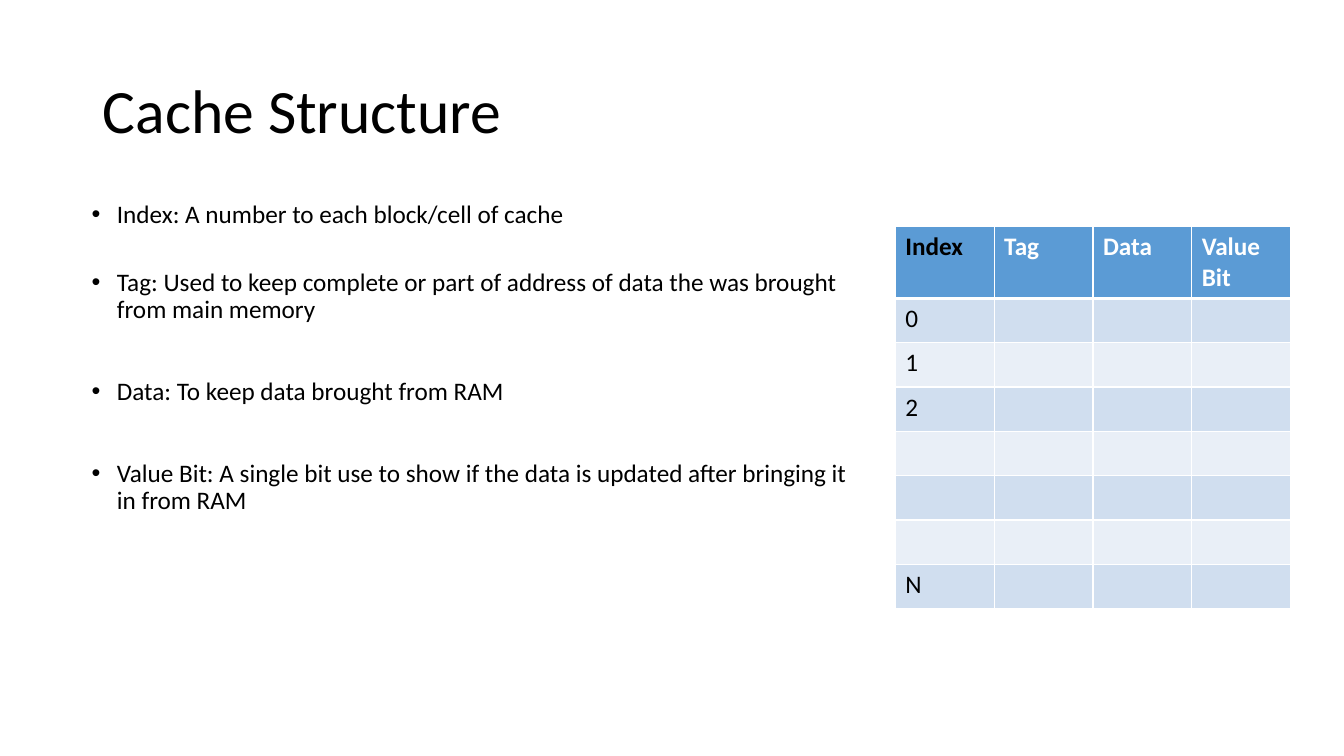
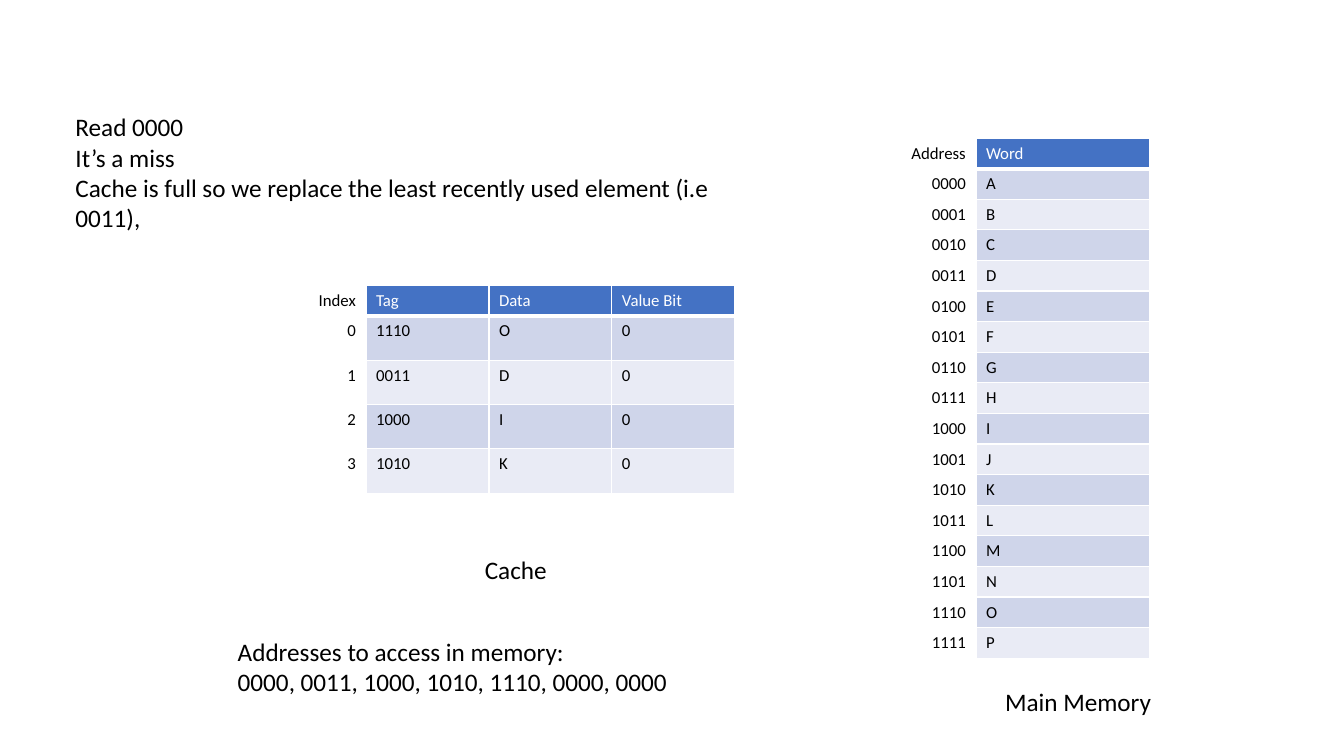
from pptx import Presentation
from pptx.dml.color import RGBColor
from pptx.enum.text import MSO_ANCHOR, MSO_AUTO_SIZE, PP_ALIGN
from pptx.oxml import parse_xml
from pptx.oxml.ns import nsdecls
from pptx.util import Inches, Pt

LEFT, RIGHT = PP_ALIGN.LEFT, PP_ALIGN.RIGHT
MIDDLE = MSO_ANCHOR.MIDDLE
GROW = MSO_AUTO_SIZE.SHAPE_TO_FIT_TEXT

HEX = {
    "text": "000000", "white": "FFFFFF",
    "sky": "5B9BD5", "sky mid": "D0DEEF", "sky pale": "E9EFF7",
    "blue": "4472C4", "blue mid": "CFD5EA", "blue pale": "E9EBF5",
}


def style(par, size, color="text", bold=False):
    look = {"name": "Calibri", "size": Pt(size), "bold": bold}
    for key, value in look.items():
        setattr(par.font, key, value)
    par.font.color.rgb = RGBColor.from_string(HEX[color])


def grid(slide, left, top, width, heads, rows, tall, size, hue, labels):
    """Add a banded table; labels leaves the first column unfilled, set right."""
    data = [heads] + rows
    frame = slide.shapes.add_table(
        len(data), len(heads), Inches(left), Inches(top),
        Inches(width * len(heads)), Inches(tall[0] + tall[1] * len(rows)))
    table = frame.table
    for col in table.columns:
        col.width = Inches(width)
    for r, row in enumerate(data):
        table.rows[r].height = Inches(tall[min(r, 1)])
        band = hue if r == 0 else hue + (" mid" if r % 2 else " pale")
        for c, word in enumerate(row):
            cell = table.cell(r, c)
            cell.text = word
            par = cell.text_frame.paragraphs[0]
            color = "white" if r == 0 and c > 0 else "text"
            style(par, size, color, bold=r == 0 and not labels)
            lines = {"lnL": 1, "lnR": 1, "lnT": 3 if r == 1 else 1,
                     "lnB": 3 if r == 0 else 1}
            props = cell._tc.get_or_add_tcPr()
            for tag, points in lines.items():
                props.append(parse_xml(
                    f'<a:{tag} {nsdecls("a")} w="{Pt(points)}"><a:solidFill>'
                    f'<a:srgbClr val="{HEX["white"]}"/></a:solidFill></a:{tag}>'))
            if labels and c == 0:
                par.alignment = RIGHT
                cell.fill.background()
            else:
                cell.fill.solid()
                cell.fill.fore_color.rgb = RGBColor.from_string(HEX[band])


deck = Presentation()
deck.slide_width, deck.slide_height = Inches(13.33), Inches(7.5)

# Cache structure
slide = deck.slides.add_slide(deck.slide_layouts[1])
title, body = slide.placeholders
spots = [(title, (0.92, 0.4, 11.5, 1.45)), (body, (0.81, 1.95, 7.83, 4.76))]
for shape, spot in spots:
    shape.left, shape.top, shape.width, shape.height = map(Inches, spot)

title.text_frame.text = "Cache Structure"
title.text_frame.vertical_anchor = MIDDLE
head = title.text_frame.paragraphs[0]
head.alignment, head.line_spacing = LEFT, 0.9
style(head, 44)

points = [
    (0, "Index: A number to each block/cell of cache"),
    (29, "Tag: Used to keep complete or part of address of data the was "
         "brought from main memory"),
    (39, "Data: To keep data brought from RAM"),
    (39, "Value Bit: A single bit use to show if the data is updated after "
         "bringing it in from RAM"),
]
body.text_frame.text = "\n".join(text for gap, text in points)
for par, (gap, text) in zip(body.text_frame.paragraphs, points):
    props = par._p.get_or_add_pPr()
    props.set("marL", str(Inches(0.25)))
    props.set("indent", str(-Inches(0.25)))
    par.line_spacing, par.space_before = 0.9, Pt(gap)
    style(par, 18)

cells = [[mark, "", "", ""] for mark in ("0", "1", "2", "", "", "", "N")]
grid(slide, 8.88, 2.25, 0.98, ["Index", "Tag", "Data", "Value Bit"], cells,
     (0.71, 0.44), 18, "sky", labels=False)

# Replacing an element in a full cache
slide = deck.slides.add_slide(deck.slide_layouts[6])
words = [[f"{n:04b}", word] for n, word in enumerate("ABCDEFGHIJKLMNOP")]
grid(slide, 7.96, 1.37, 1.72, ["Address", "Word"], words,
     (0.3, 0.3), 12, "blue", labels=True)

held = [("1110", "O"), ("0011", "D"), ("1000", "I"), ("1010", "K")]
cells = [[str(n), tag, word, "0"] for n, (tag, word) in enumerate(held)]
grid(slide, 2.41, 2.83, 1.22, ["Index", "Tag", "Data", "Value Bit"], cells,
     (0.3, 0.44), 12, "blue", labels=True)

notes = [
    ((4.71, 5.45, 0.82, 0.4), False, "Cache"),
    ((9.87, 6.76, 1.67, 0.4), False, "Main Memory"),
    ((0.65, 1.06, 6.65, 1.31), True,
     "Read 0000\nIt’s a miss\nCache is full so we replace the least recently "
     "used element (i.e 0011),"),
    ((2.26, 6.26, 6.76, 1.01), True,
     "Addresses to access in memory:\n"
     "0000, 0011, 1000, 1010, 1110, 0000, 0000"),
]
for spot, wrap, text in notes:
    frame = slide.shapes.add_textbox(*map(Inches, spot)).text_frame
    frame.word_wrap, frame.auto_size, frame.text = wrap, GROW, text
    for par in frame.paragraphs:
        style(par, 18)

deck.save("out.pptx")
